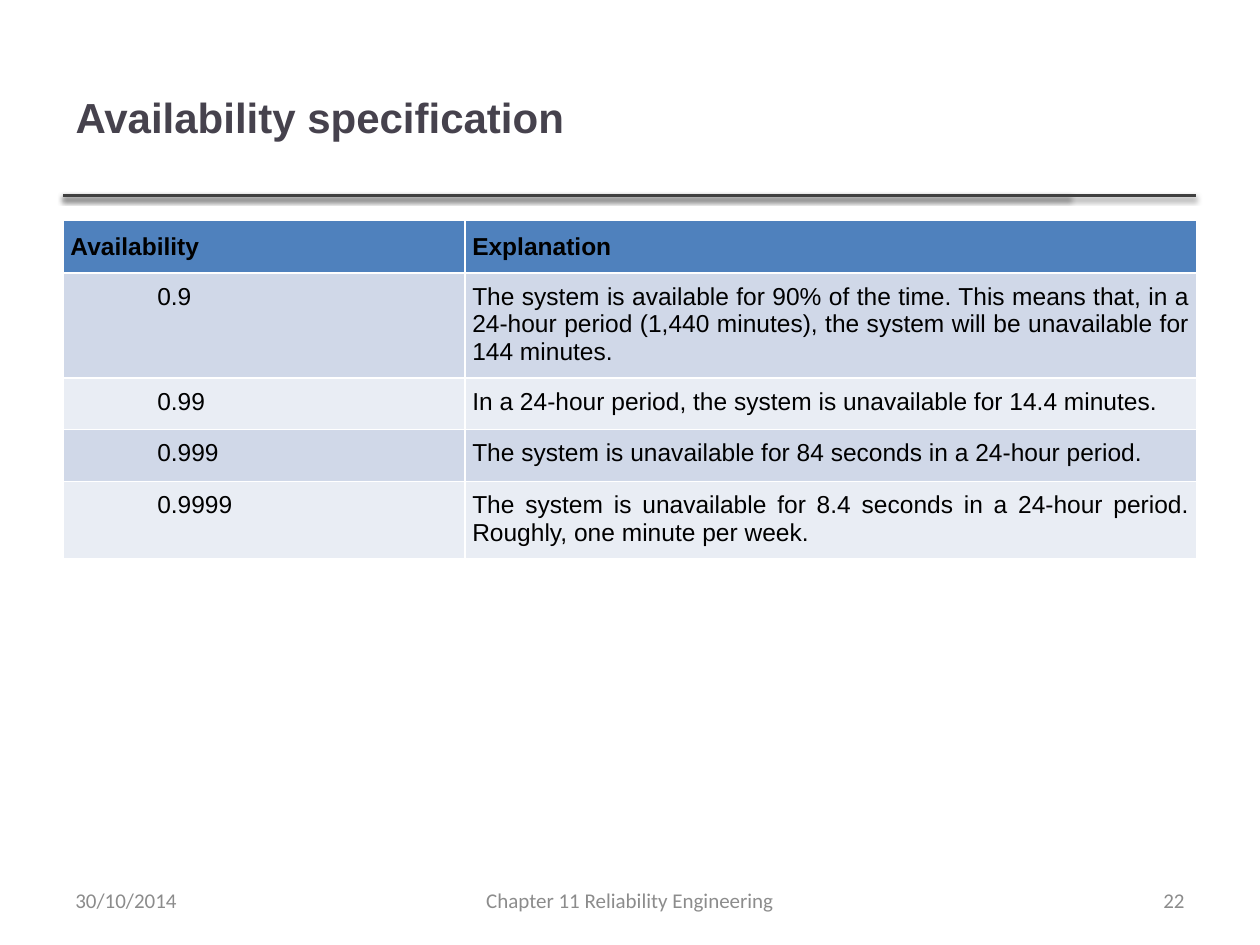
from lxml.etree import SubElement
from pptx import Presentation
from pptx.dml.color import RGBColor
from pptx.enum.shapes import MSO_CONNECTOR
from pptx.enum.text import MSO_ANCHOR, PP_ALIGN
from pptx.oxml.ns import qn
from pptx.util import Cm, Pt

BLACK = RGBColor(0x00, 0x00, 0x00)
TITLE_COLOR = RGBColor(0x46, 0x42, 0x4D)
RULE_COLOR = RGBColor(0x40, 0x40, 0x40)
FOOTER_COLOR = RGBColor(0x8C, 0x8C, 0x8C)
HEADER_FILL = RGBColor(0x4F, 0x81, 0xBD)
BAND_FILLS = (RGBColor(0xD0, 0xD8, 0xE8), RGBColor(0xE9, 0xED, 0xF4))

LEFT = 1.27
ROWS = [
    ("Availability", "Explanation"),
    ("0.9", "The system is available for 90% of the time. This means that, in a "
            "24-hour period (1,440 minutes), the system will be unavailable for "
            "144 minutes."),
    ("0.99", "In a 24-hour period, the system is unavailable for 14.4 minutes."),
    ("0.999", "The system is unavailable for 84 seconds in a 24-hour period."),
    ("0.9999", "The system is unavailable for 8.4 seconds in a 24-hour period. "
               "Roughly, one minute per week."),
]
FOOTERS = [
    ("22", 18.2, 5.93, PP_ALIGN.RIGHT),
    ("Chapter 11 Reliability Engineering", 8.68, 8.04, PP_ALIGN.CENTER),
    ("30/10/2014", LEFT, 5.93, PP_ALIGN.LEFT),
]


class SlideBuilder:
    text_font = "Arial"
    footer_font = "Calibri"

    def __init__(self, slide):
        self.slide = slide

    def set_text(self, text_frame, text, name, size, color, bold=False, alignment=PP_ALIGN.LEFT):
        text_frame.text = text
        paragraph = text_frame.paragraphs[0]
        paragraph.alignment = alignment
        font = paragraph.runs[0].font
        font.name, font.size, font.bold = name, Pt(size), bold
        font.color.rgb = color
        return paragraph

    def rule(self, right, top):
        connector = self.slide.shapes.add_connector(
            MSO_CONNECTOR.STRAIGHT, Cm(LEFT), Cm(top), Cm(right), Cm(top))
        connector.line.color.rgb = RULE_COLOR
        connector.line.width = Pt(2)
        effects = SubElement(connector._element.spPr, qn("a:effectLst"))
        shadow = SubElement(effects, qn("a:outerShdw"), blurRad=str(Pt(3.1)),
                            dist=str(Pt(1.6)), dir="5400000", rotWithShape="0")
        color = SubElement(shadow, qn("a:srgbClr"), val=str(BLACK))
        SubElement(color, qn("a:alpha"), val="38000")

    def title(self, text, top, width, height):
        shape = self.slide.shapes.title
        shape.left, shape.top = Cm(LEFT), Cm(top)
        shape.width, shape.height = Cm(width), Cm(height)
        shape.text_frame.vertical_anchor = MSO_ANCHOR.MIDDLE
        self.set_text(shape.text_frame, text, self.text_font, 24, TITLE_COLOR, bold=True)

    def table(self, rows, top, widths, row_height):
        table = self.slide.shapes.add_table(
            len(rows), len(widths), Cm(LEFT), Cm(top),
            Cm(sum(widths)), Cm(row_height * len(rows))).table
        for column, width in zip(table.columns, widths):
            column.width = Cm(width)
        for row_index, texts in enumerate(rows):
            for column_index, text in enumerate(texts):
                self.cell(table.cell(row_index, column_index), text, row_index, column_index)

    def cell(self, cell, text, row_index, column_index):
        header = row_index == 0
        cell.fill.solid()
        cell.fill.fore_color.rgb = HEADER_FILL if header else BAND_FILLS[(row_index - 1) % 2]
        cell.margin_left = cell.margin_right = Cm(0.15)
        cell.margin_top = Cm(0.25 if header else 0.2)
        cell.margin_bottom = Cm(0.25)
        alignment = PP_ALIGN.JUSTIFY if column_index else PP_ALIGN.LEFT
        paragraph = self.set_text(cell.text_frame, text, self.text_font, 14, BLACK, header,
                                  alignment)
        if not header:
            paragraph.space_before = Pt(6)
            if column_index == 0:
                properties = paragraph._p.get_or_add_pPr()
                properties.set("marL", "0")
                properties.set("indent", str(Cm(1.75)))

    def footer(self, text, left, width, alignment):
        shape = self.slide.shapes.add_textbox(Cm(left), Cm(17.65), Cm(width), Cm(1.01))
        shape.text_frame.word_wrap = True
        shape.text_frame.vertical_anchor = MSO_ANCHOR.MIDDLE
        self.set_text(shape.text_frame, text, self.footer_font, 12, FOOTER_COLOR,
                      alignment=alignment)


def main():
    presentation = Presentation()
    presentation.slide_width, presentation.slide_height = Cm(25.4), Cm(19.05)
    builder = SlideBuilder(presentation.slides.add_slide(presentation.slide_layouts[5]))
    for right in (21.56, 24.1):
        builder.rule(right, 3.94)
    builder.title("Availability specification", 0.76, 20.27, 3.18)
    builder.table(ROWS, 4.45, (8.1, 14.76), 1.04)
    for footer in FOOTERS:
        builder.footer(*footer)
    presentation.save("out.pptx")


if __name__ == "__main__":
    main()
